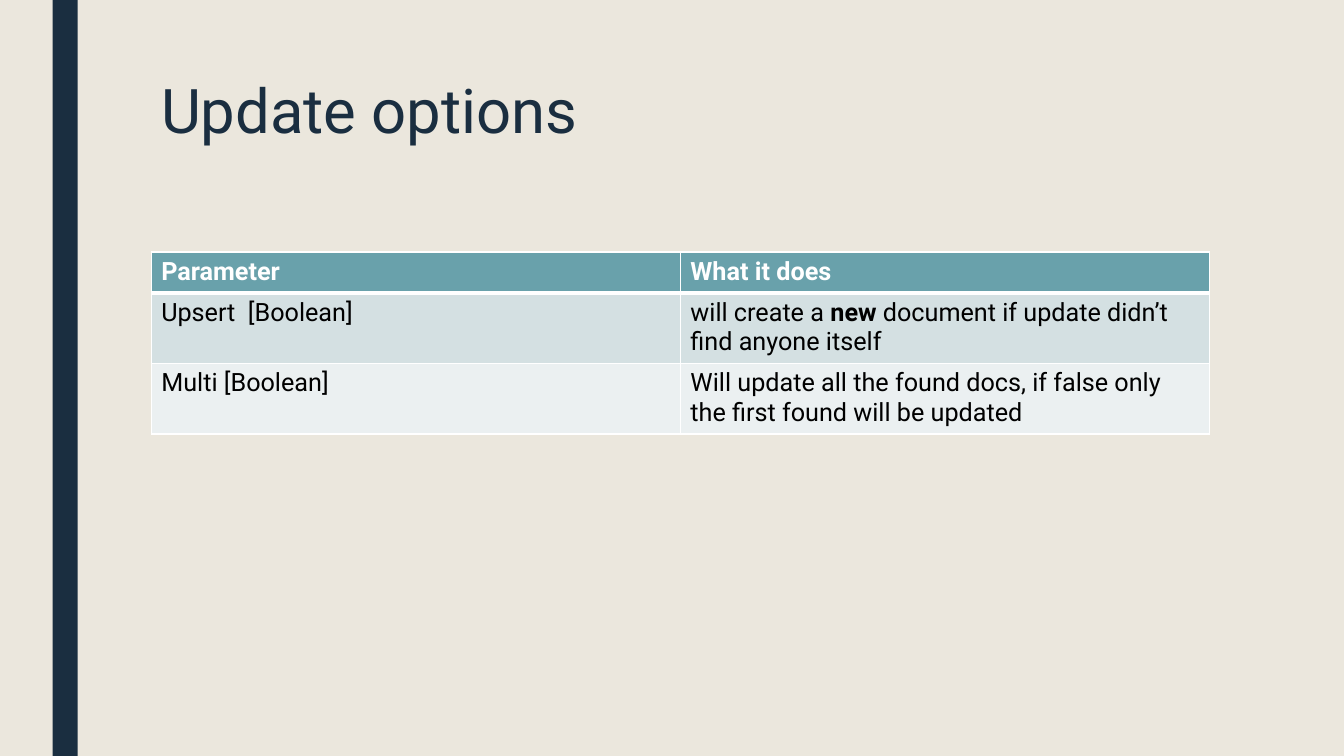
from dataclasses import dataclass

from lxml import etree
from pptx import Presentation
from pptx.dml.color import RGBColor
from pptx.enum import shapes, text
from pptx.oxml import ns
from pptx.util import Pt


@dataclass(frozen=True)
class Theme:
    font: str = "Roboto"
    background: str = "EBE7DD"
    navy: str = "1A2E40"
    header: str = "69A1AB"
    bands: tuple = ("D4E0E2", "EBF0F1")
    white: str = "FFFFFF"
    black: str = "000000"
    title_size: int = 44
    table_size: int = 18
    thin: int = 1
    thick: int = 3


THEME = Theme()
WIDTH, HEIGHT = 960, 540
OPTIONS = [
    ["Parameter", "What it does"],
    ["Upsert  [Boolean]",
     "will create a *new* document if update didn’t find anyone itself"],
    ["Multi [Boolean]",
     "Will update all the found docs, if false only the first found will be updated"],
]
ROW_HEIGHTS = [29.2, 49.5, 49.5]


def paint(fill, color):
    fill.solid()
    fill.fore_color.rgb = RGBColor.from_string(color)


def write(paragraph, wording, size, color, bold=False):
    paragraph.font.name = THEME.font
    paragraph.font.size = Pt(size)
    paragraph.font.bold = bold
    paragraph.font.color.rgb = RGBColor.from_string(color)
    for index, piece in enumerate(wording.split("*")):
        run = paragraph.add_run()
        run.text = piece
        if index % 2:
            run.font.bold = True


def add_border(cell, side, width):
    line = etree.SubElement(cell._tc.get_or_add_tcPr(), ns.qn(f"a:ln{side}"),
                            w=str(Pt(width)))
    solid = etree.SubElement(line, ns.qn("a:solidFill"))
    etree.SubElement(solid, ns.qn("a:srgbClr"), val=THEME.white)


def add_side_bar(slide, left, top, width, height):
    bar = slide.shapes.add_shape(shapes.MSO_SHAPE.RECTANGLE,
                                 Pt(left), Pt(top), Pt(width), Pt(height))
    bar.shadow.inherit = False
    paint(bar.fill, THEME.navy)
    bar.line.fill.background()


def add_title(slide, left, top, width, height):
    title = slide.shapes.add_textbox(Pt(left), Pt(top), Pt(width), Pt(height)).text_frame
    title.word_wrap = True
    title.vertical_anchor = text.MSO_ANCHOR.TOP
    heading = title.paragraphs[0]
    heading.line_spacing = 0.89
    write(heading, "Update options", THEME.title_size, THEME.navy)


def add_options(slide, left, top, width, height):
    options = slide.shapes.add_table(len(OPTIONS), len(OPTIONS[0]), Pt(left), Pt(top),
                                     Pt(width), Pt(height)).table
    for column in options.columns:
        column.width = Pt(width / len(OPTIONS[0]))
    for r, entries in enumerate(OPTIONS):
        is_header = r == 0
        options.rows[r].height = Pt(ROW_HEIGHTS[r])
        for c, wording in enumerate(entries):
            cell = options.cell(r, c)
            for side in "LRTB":
                below_header = (r, side) in ((0, "B"), (1, "T"))
                add_border(cell, side, THEME.thick if below_header else THEME.thin)
            paint(cell.fill, THEME.header if is_header else THEME.bands[r - 1])
            write(cell.text_frame.paragraphs[0], wording, THEME.table_size,
                  THEME.white if is_header else THEME.black, is_header)


deck = Presentation()
deck.slide_width, deck.slide_height = Pt(WIDTH), Pt(HEIGHT)
slide = deck.slides.add_slide(deck.slide_layouts[6])
paint(slide.background.fill, THEME.background)
add_side_bar(slide, 37.5, 0, 18, HEIGHT)
add_title(slide, 108, 54, 756, 116.6)
add_options(slide, 108, 180, 756, sum(ROW_HEIGHTS))
deck.save("out.pptx")
